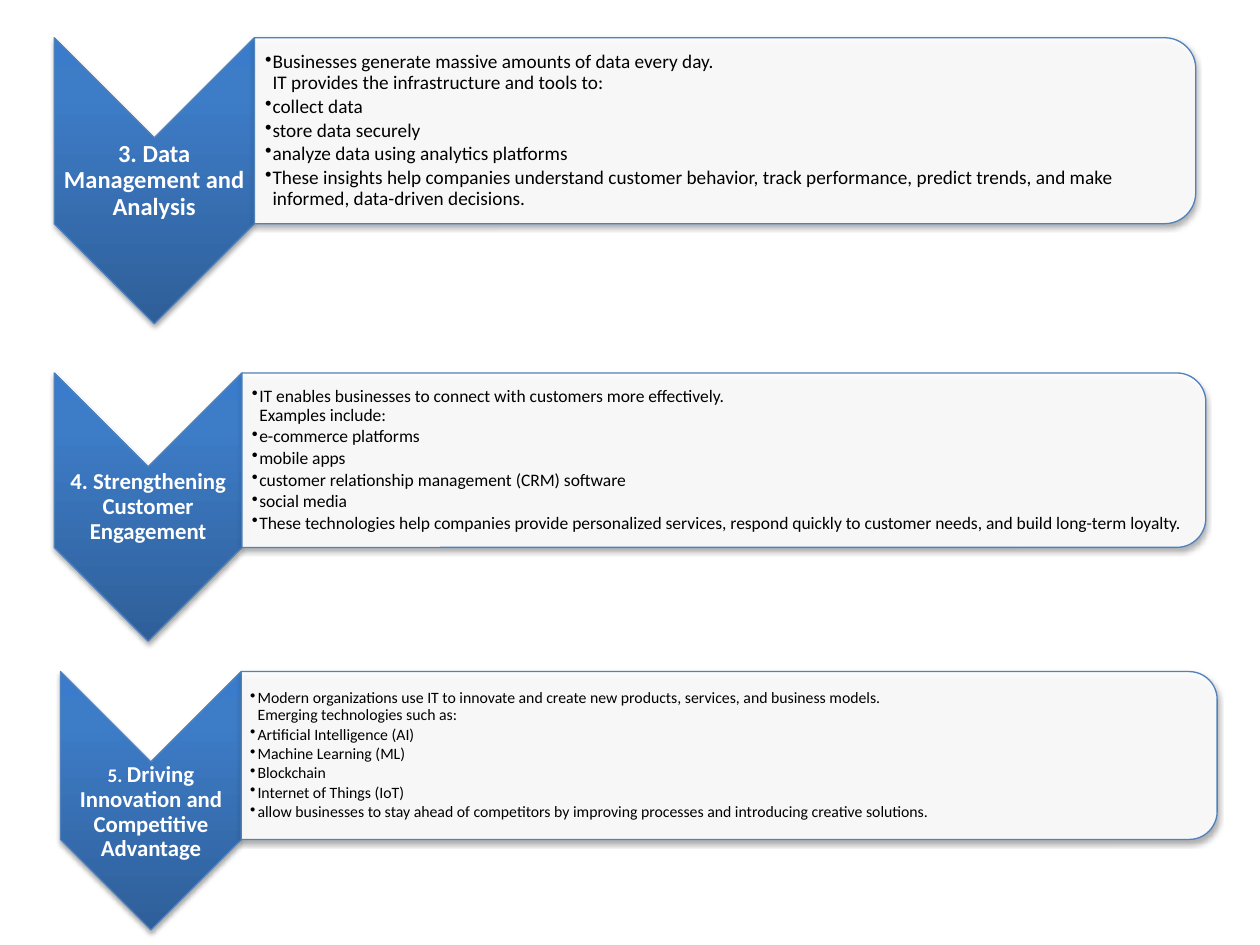
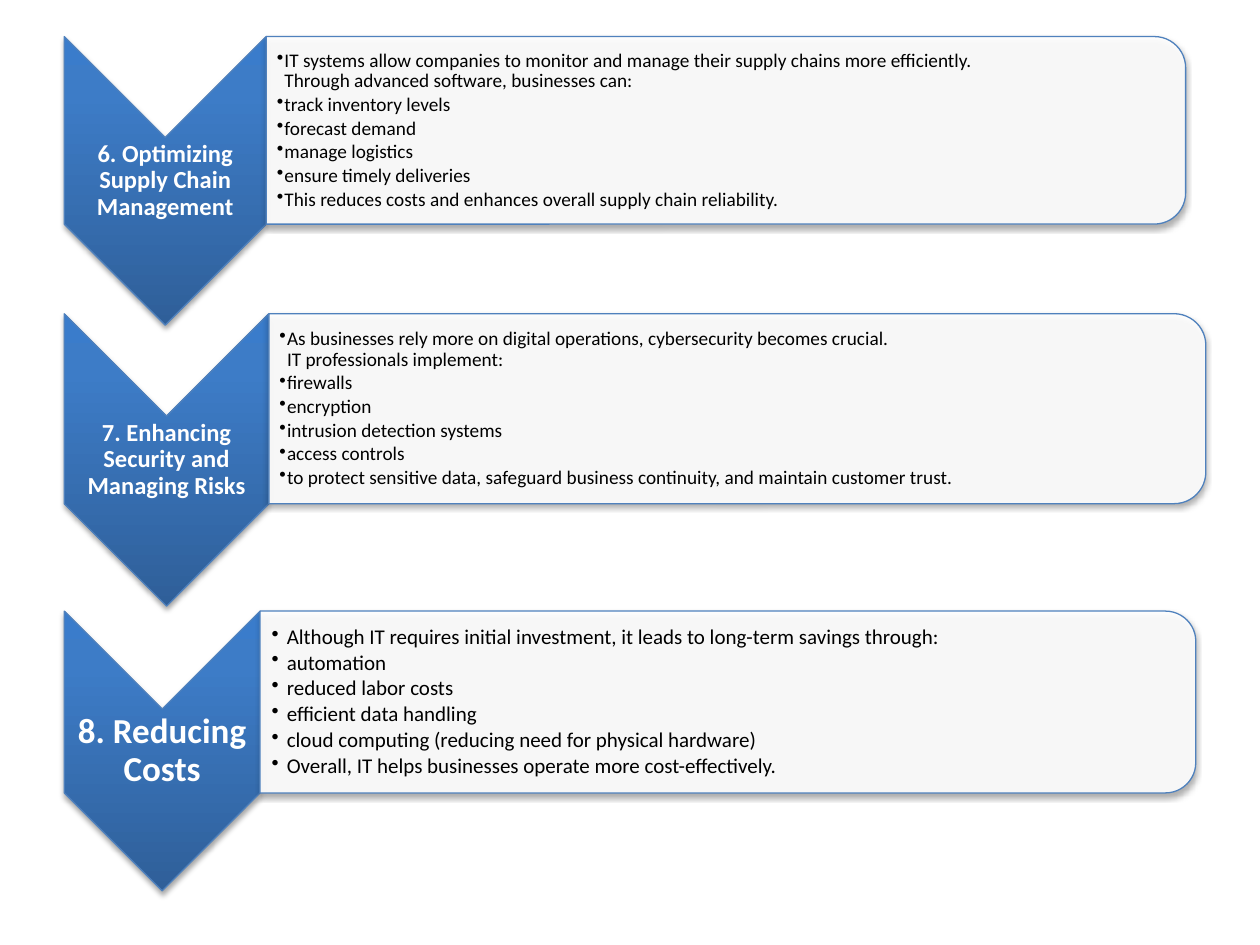
from lxml import etree
from pptx import Presentation
from pptx.dml.color import RGBColor
from pptx.enum.shapes import MSO_SHAPE as SHAPE
from pptx.enum.text import MSO_ANCHOR as ANCHOR, PP_ALIGN as ALIGN
from pptx.oxml import parse_xml
from pptx.oxml.ns import nsdecls, qn
from pptx.util import Inches, Pt

# Shared look
FONT = "Calibri"
WHITE = RGBColor(0xFF, 0xFF, 0xFF)
BLACK = RGBColor(0x00, 0x00, 0x00)
OUTLINE = RGBColor(0x4F, 0x81, 0xBD)
GRADIENT = [(0, "2F5F99"), (80, "3D7CC7"), (100, "3A7CCB")]
CHEVRON_RATIO = 0.7    # chevron width to its length
PANEL_RATIO = 0.65     # panel height to chevron length
INSET = 0.07           # text inside the panel's rounded corners

# Each block: left, top, chevron length, panel right edge,
# title size, body size, bullet indent, title, points
SLIDES = [
    [
        (0.43, 0.3, 2.27, 9.49, 14, 11, 0.06, "3. Data Management and Analysis", [
            "Businesses generate massive amounts of data every day.\n"
            "IT provides the infrastructure and tools to:",
            "collect data",
            "store data securely",
            "analyze data using analytics platforms",
            "These insights help companies understand customer behavior, track performance, "
            "predict trends, and make informed, data-driven decisions."]),
        (0.43, 2.96, 2.13, 9.57, 13, 10, 0.06, "4. Strengthening Customer Engagement", [
            "IT enables businesses to connect with customers more effectively.\n"
            "Examples include:",
            "e-commerce platforms",
            "mobile apps",
            "customer relationship management (CRM) software",
            "social media",
            "These technologies help companies provide personalized services, respond quickly "
            "to customer needs, and build long-term loyalty."]),
        (0.48, 5.33, 2.05, 9.66, 13, 9, 0.06,
         "5. Driving Innovation and Competitive Advantage", [
            "Modern organizations use IT to innovate and create new products, services, "
            "and business models.\nEmerging technologies such as:",
            "Artificial Intelligence (AI)",
            "Machine Learning (ML)",
            "Blockchain",
            "Internet of Things (IoT)",
            "allow businesses to stay ahead of competitors by improving processes and "
            "introducing creative solutions."]),
    ],
    [
        (0.51, 0.29, 2.29, 9.41, 14, 11, 0.06, "6. Optimizing Supply Chain Management", [
            "IT systems allow companies to monitor and manage their supply chains more "
            "efficiently.\nThrough advanced software, businesses can:",
            "track inventory levels",
            "forecast demand",
            "manage logistics",
            "ensure timely deliveries",
            "This reduces costs and enhances overall supply chain reliability."]),
        (0.51, 2.49, 2.32, 9.57, 14, 11, 0.06, "7. Enhancing Security and Managing Risks", [
            "As businesses rely more on digital operations, cybersecurity becomes crucial.\n"
            "IT professionals implement:",
            "firewalls",
            "encryption",
            "intrusion detection systems",
            "access controls",
            "to protect sensitive data, safeguard business continuity, and maintain "
            "customer trust."]),
        (0.51, 4.85, 2.22, 9.49, 20, 12, 0.12, "8. Reducing Costs", [
            "Although IT requires initial investment, it leads to long-term savings through:",
            "automation",
            "reduced labor costs",
            "efficient data handling",
            "cloud computing (reducing need for physical hardware)",
            "Overall, IT helps businesses operate more cost-effectively."]),
    ],
]


def add_turned(s, kind, x, y, w, h):
    """Add a shape turned 90 degrees that fills the box x, y, w, h."""
    sp = s.shapes.add_shape(kind, Inches(x + (w - h) / 2), Inches(y + (h - w) / 2),
                            Inches(h), Inches(w))
    sp.rotation = 90
    sp.line.color.rgb = OUTLINE
    sp.line.width = Pt(0.75)
    sp._element.spPr.append(parse_xml(
        f'<a:effectLst {nsdecls("a")}><a:outerShdw blurRad="{Pt(3.1)}" dist="{Pt(1.8)}" '
        'dir="5400000" rotWithShape="0"><a:srgbClr val="000000"><a:alpha val="35000"/>'
        '</a:srgbClr></a:outerShdw></a:effectLst>'))
    return sp


def add_text(s, x, y, w, h, left_inset, paragraphs, size, color):
    """Add a middle-anchored text box and return its text frame."""
    tf = s.shapes.add_textbox(Inches(x), Inches(y), Inches(w), Inches(h)).text_frame
    tf.word_wrap = True
    tf.vertical_anchor = ANCHOR.MIDDLE
    tf.margin_left = Inches(left_inset)
    tf.margin_top = tf.margin_right = tf.margin_bottom = Inches(0.01)
    for i, text in enumerate(paragraphs):
        p = tf.add_paragraph() if i else tf.paragraphs[0]
        p.text = text.replace("\n", "\v")
        p.line_spacing = 0.9
        for r in p.runs:
            r.font.name, r.font.size, r.font.color.rgb = FONT, Pt(size), color
        for br in p._p.findall(qn("a:br")):
            etree.SubElement(br, qn("a:rPr")).set("sz", str(size * 100))
    return tf


prs = Presentation()
prs.slide_width, prs.slide_height = Inches(10), Inches(7.5)

for blocks in SLIDES:
    s = prs.slides.add_slide(prs.slide_layouts[6])
    for left, top, length, right, title_size, body_size, indent, title, points in blocks:
        width = length * CHEVRON_RATIO
        panel_h = length * PANEL_RATIO
        panel_x = left + width

        # Chevron, light at the top and dark at the tip
        chevron = add_turned(s, SHAPE.CHEVRON, left, top, width, length)
        stops = "".join(f'<a:gs pos="{pos * 1000}"><a:srgbClr val="{c}"/></a:gs>'
                        for pos, c in GRADIENT)
        chevron._element.spPr.find(qn("a:prstGeom")).addnext(parse_xml(
            f'<a:gradFill {nsdecls("a")} rotWithShape="0"><a:gsLst>{stops}</a:gsLst>'
            '<a:lin ang="16200000" scaled="0"/></a:gradFill>'))

        # Chevron title
        tf = add_text(s, left, top + width / 2, width, length - width, 0.01,
                      [title], title_size, WHITE)
        p = tf.paragraphs[0]
        p.alignment = ALIGN.CENTER
        if title.startswith("5."):    # smaller number, text runs down from the notch
            tf.vertical_anchor = ANCHOR.TOP
            number, words = p.runs[0], p.add_run()
            number.text, words.text = title[:3], title[3:]
            words.font.name, words.font.size = FONT, Pt(title_size)
            words.font.color.rgb = WHITE
            number.font.size = Pt(11)
        for r in p.runs:
            r.font.bold = True

        # Panel
        panel = add_turned(s, SHAPE.ROUND_2_SAME_RECTANGLE,
                           panel_x, top, right - panel_x, panel_h)
        panel.fill.solid()
        panel.fill.fore_color.rgb = WHITE
        color = panel._element.spPr.find(qn("a:solidFill"))[0]
        etree.SubElement(color, qn("a:alpha")).set("val", "90000")

        # Panel bullets
        tf = add_text(s, panel_x, top + INSET, right - panel_x - INSET,
                      panel_h - 2 * INSET, body_size * 0.0077, points, body_size, BLACK)
        for p in tf.paragraphs:
            pPr = p._p.get_or_add_pPr()
            pPr.set("marL", str(Inches(indent)))
            pPr.set("indent", str(-Inches(indent)))
            after = etree.SubElement(pPr, qn("a:spcAft"))
            etree.SubElement(after, qn("a:spcPct")).set("val", "15000")
            etree.SubElement(pPr, qn("a:buChar")).set("char", "•")

prs.save("out.pptx")
